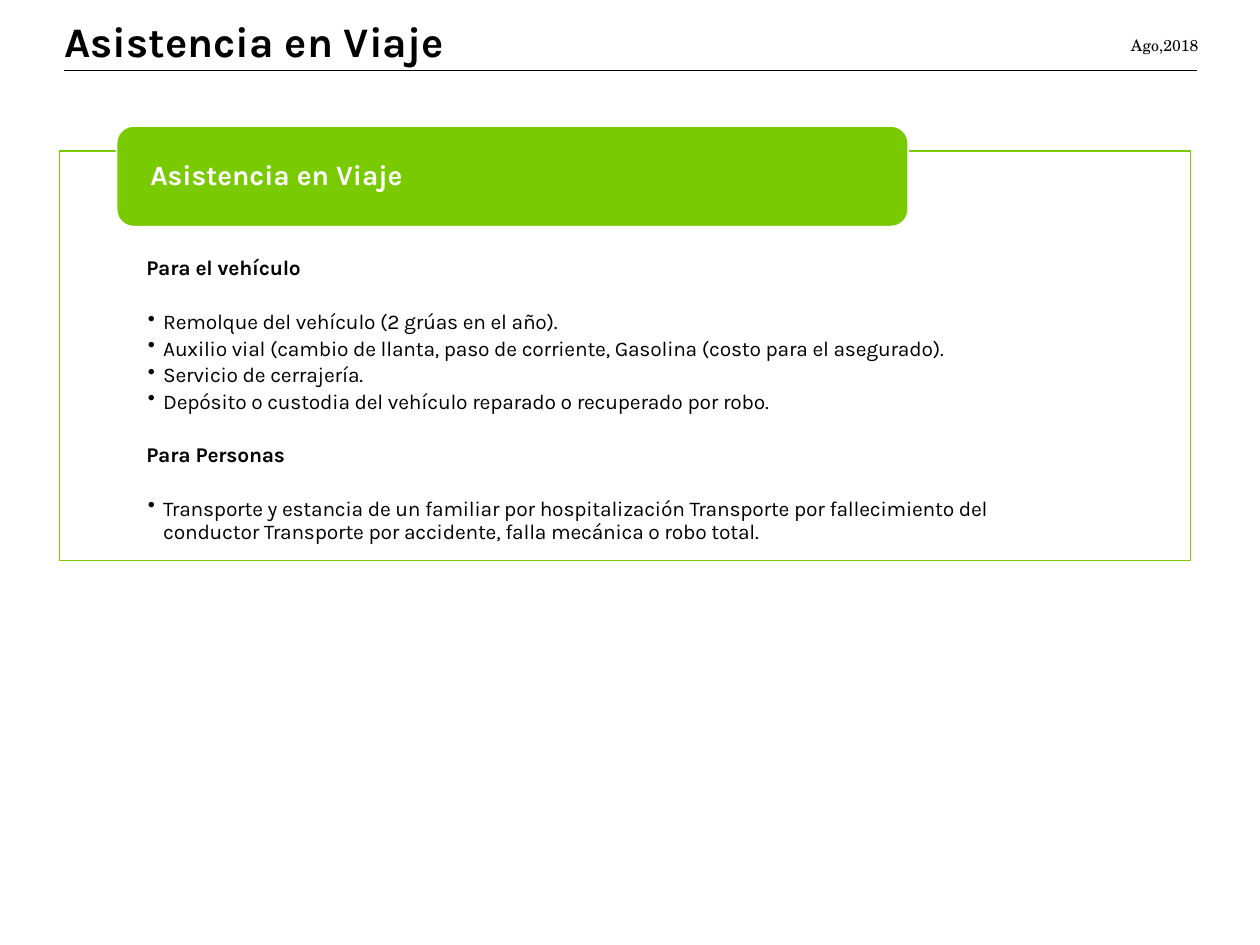
from pptx import Presentation
from pptx.dml.color import RGBColor
from pptx.enum.shapes import MSO_CONNECTOR, MSO_SHAPE as SHAPE
from pptx.oxml.ns import qn
from pptx.util import Cm, Pt
from lxml.etree import SubElement

BLACK, WHITE, GREEN = "000000", "FFFFFF", "79CA00"
RULE_WIDTH = Pt(0.96)
TITLE = "Asistencia en Viaje"

# Each section: heading, space before it, space before its list, line spacing, items
SECTIONS = [
    ("Para el vehículo", 1, 16.2, None, [
        "Remolque del vehículo (2 grúas en el año).",
        "Auxilio vial (cambio de llanta, paso de corriente, "
        "Gasolina (costo para el asegurado).",
        "Servicio de cerrajería.",
        "Depósito o custodia del vehículo reparado o recuperado por robo.",
    ]),
    ("Para Personas", 16.2, 17.5, 13.1, [
        "Transporte y estancia de un familiar por hospitalización "
        "Transporte por fallecimiento del conductor Transporte por "
        "accidente, falla mecánica o robo total.",
    ]),
]


def color(hex_value):
    return RGBColor.from_string(hex_value)


def add_text_frame(slide, left, top, width, height):
    box = slide.shapes.add_textbox(Cm(left), Cm(top), Cm(width), Cm(height))
    frame = box.text_frame
    layout = {"word_wrap": True, "margin_left": 0, "margin_right": 0,
              "margin_top": Cm(0.03), "margin_bottom": 0}
    for name, value in layout.items():
        setattr(frame, name, value)
    return frame


def write(paragraph, text, size, ink=BLACK, bold=False, font="Karla",
          before=1, tracking=0):
    paragraph.space_before = Pt(before)
    run = paragraph.add_run()
    run.text = text
    style = {"name": font, "size": Pt(size), "bold": bold}
    for name, value in style.items():
        setattr(run.font, name, value)
    run.font.color.rgb = color(ink)
    if tracking:
        run.font._element.set("spc", str(tracking))


def add_label(slide, text, left, top, width, height, size, **style):
    frame = add_text_frame(slide, left, top, width, height)
    write(frame.paragraphs[0], text, size, **style)


def add_bullet(paragraph):
    properties = paragraph._p.get_or_add_pPr()
    properties.set("marL", str(Cm(0.34)))
    properties.set("indent", str(-Cm(0.31)))
    SubElement(properties, qn("a:buChar")).set("char", "•")


def add_block(slide, kind, left, top, width, height, line, fill=None):
    block = slide.shapes.add_shape(kind, Cm(left), Cm(top), Cm(width), Cm(height))
    block.shadow.inherit = False
    block.line.color.rgb = color(line)
    block.line.width = RULE_WIDTH
    if fill:
        block.fill.solid()
        block.fill.fore_color.rgb = color(fill)
    else:
        block.fill.background()
    return block


def add_rule(slide, left, right, y):
    rule = slide.shapes.add_connector(
        MSO_CONNECTOR.STRAIGHT, Cm(left), Cm(y), Cm(right), Cm(y))
    rule.line.color.rgb = color(BLACK)
    rule.line.width = RULE_WIDTH
    SubElement(rule._element.spPr, qn("a:effectLst"))


def add_coverage(slide):
    frame = add_text_frame(slide, 2.95, 5.11, 18.9, 5.92)
    paragraph = frame.paragraphs[0]
    for heading, before, list_gap, spacing, items in SECTIONS:
        if paragraph.runs:
            paragraph = frame.add_paragraph()
        write(paragraph, heading, 12, bold=True, before=before, tracking=-10)
        for index, item in enumerate(items):
            paragraph = frame.add_paragraph()
            if spacing:
                paragraph.line_spacing = Pt(spacing)
            write(paragraph, item, 12, before=0.8 if index else list_gap,
                  tracking=-10)
            add_bullet(paragraph)


def main():
    deck = Presentation()
    deck.slide_width, deck.slide_height = Cm(25.4), Cm(19.05)
    slide = deck.slides.add_slide(deck.slide_layouts[6])

    # Header
    add_rule(slide, 1.3, 24.13, 1.42)
    add_label(slide, TITLE, 1.3, 0.28, 8.6, 1.09, 24, bold=True)
    add_label(slide, "Ago,2018", 22.8, 0.69, 1.6, 0.46, 9,
              font="TeX Gyre Schola")

    # Coverage panel
    add_block(slide, SHAPE.RECTANGLE, 1.2, 3.05, 22.8, 8.25, GREEN)
    add_coverage(slide)

    # Panel banner
    banner = add_block(slide, SHAPE.ROUNDED_RECTANGLE, 2.35, 2.54, 15.96, 2.03,
                       WHITE, GREEN)
    banner.adjustments[0] = 0.17
    add_label(slide, TITLE, 3.03, 3.15, 6, 0.74, 16, ink=WHITE, bold=True)

    deck.save("out.pptx")


if __name__ == "__main__":
    main()
